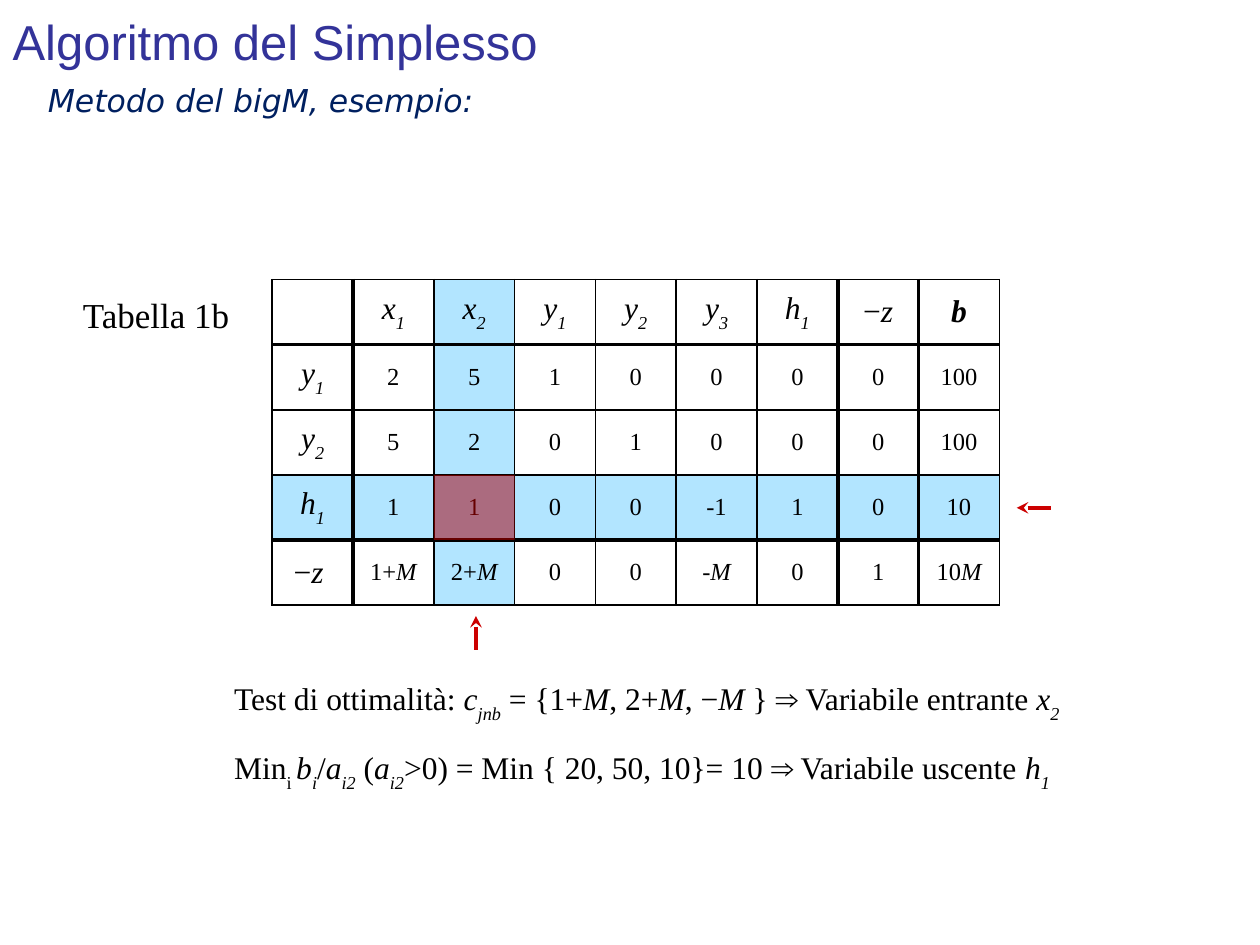
from dataclasses import dataclass

import pptx
import pptx.dml.color
import pptx.enum.shapes
import pptx.enum.text
import pptx.oxml.ns
import pptx.util
from lxml import etree

Pt = pptx.util.Pt
RGBColor = pptx.dml.color.RGBColor
Align = pptx.enum.text.PP_ALIGN
Anchor = pptx.enum.text.MSO_ANCHOR
AutoSize = pptx.enum.text.MSO_AUTO_SIZE
qn = pptx.oxml.ns.qn


@dataclass(frozen=True)
class Theme:
    ink: str = "000000"
    title: str = "333399"
    subtitle: str = "002060"
    highlight: str = "66CCFF"
    pivot: str = "CC0000"
    serif: str = "Times New Roman"
    sans: str = "Arial"
    subtitle_font: str = "DejaVu Sans"
    title_size: float = 28
    caption_size: float = 20
    body_size: float = 18
    value_size: float = 14
    thin: float = 1
    thick: float = 2.25


THEME = Theme()

# Tableau: ~ toggles italic, _ toggles subscript
TABLEAU = [
    ["", "~x_1_~", "~x_2_~", "~y_1_~", "~y_2_~", "~y_3_~", "~h_1_~", "−~z~", "~b~"],
    ["~y_1_~", "2", "5", "1", "0", "0", "0", "0", "100"],
    ["~y_2_~", "5", "2", "0", "1", "0", "0", "0", "100"],
    ["~h_1_~", "1", "1", "0", "0", "-1", "1", "0", "10"],
    ["−~z ~", "1+~M~", "2+~M~", "0", "0", "-~M~", "0", "1", "10~M~"],
]
ROWS, COLS = len(TABLEAU), len(TABLEAU[0])
LEFT, TOP, COL_W, ROW_H = 155.5, 159.8, 46.2, 37.2
THICK_BELOW_ROWS = {0, 3}
THICK_AFTER_COLS = {0, 6, 7}
ENTERING_COL, LEAVING_ROW = 2, 3


def write_text(frame, markup, *, size=THEME.body_size, font=THEME.serif,
               color=THEME.ink, bold=False, align=Align.LEFT):
    paragraph = frame.paragraphs[0]
    paragraph.alignment = align
    for i, chunk in enumerate(markup.split("~")):
        for j, part in enumerate(chunk.split("_")):
            if not part:
                continue
            run = paragraph.add_run()
            run.text = part
            run.font.size = Pt(size)
            run.font.name = font
            run.font.bold = bold
            run.font.italic = i % 2 == 1
            run.font.color.rgb = RGBColor.from_string(color)
            if j % 2 == 1:
                run.font._element.set("baseline", "-30000")


def add_text(slide, markup, left, top, width, height, **text_format):
    frame = slide.shapes.add_textbox(Pt(left), Pt(top), Pt(width), Pt(height)).text_frame
    frame.word_wrap = True
    frame.auto_size = AutoSize.SHAPE_TO_FIT_TEXT
    write_text(frame, markup, **text_format)


def add_title(slide, text):
    title = slide.shapes.title
    title.left, title.top, title.width, title.height = Pt(0), Pt(-2), Pt(648), Pt(51)
    title.text_frame.auto_size = AutoSize.NONE
    title.text_frame.vertical_anchor = Anchor.MIDDLE
    write_text(title.text_frame, text, size=THEME.title_size, font=THEME.sans,
               color=THEME.title)


def add_band(slide, row, col, row_count, col_count, color):
    """Half-transparent rectangle over a range of tableau cells."""
    band = slide.shapes.add_shape(
        pptx.enum.shapes.MSO_SHAPE.RECTANGLE,
        Pt(LEFT + col * COL_W), Pt(TOP + row * ROW_H),
        Pt(col_count * COL_W), Pt(row_count * ROW_H))
    band.shadow.inherit = False
    band.line.fill.background()
    band.fill.solid()
    band.fill.fore_color.rgb = RGBColor.from_string(color)
    tint = band.fill._xPr.find(".//" + qn("a:srgbClr"))
    etree.SubElement(tint, qn("a:alpha"), val="50000")


def set_border(cell, side, width):
    line = etree.SubElement(cell._tc.get_or_add_tcPr(), qn("a:ln" + side),
                            w=str(int(Pt(width))))
    fill = etree.SubElement(line, qn("a:solidFill"))
    etree.SubElement(fill, qn("a:srgbClr"), val=THEME.ink)


def add_tableau(slide):
    table = slide.shapes.add_table(ROWS, COLS, Pt(LEFT), Pt(TOP),
                                   Pt(COLS * COL_W), Pt(ROWS * ROW_H)).table
    table.first_row = table.horz_banding = False
    for column in table.columns:
        column.width = Pt(COL_W)
    for r, values in enumerate(TABLEAU):
        table.rows[r].height = Pt(ROW_H)
        for c, markup in enumerate(values):
            cell = table.cell(r, c)
            sides = {"L": c - 1 in THICK_AFTER_COLS, "R": c in THICK_AFTER_COLS,
                     "T": r - 1 in THICK_BELOW_ROWS, "B": r in THICK_BELOW_ROWS}
            for side, is_thick in sides.items():
                set_border(cell, side, THEME.thick if is_thick else THEME.thin)
            cell.fill.background()
            cell.vertical_anchor = Anchor.MIDDLE
            is_label = r == 0 or c == 0
            write_text(cell.text_frame, markup, align=Align.CENTER, bold=markup == "~b~",
                       size=THEME.body_size if is_label else THEME.value_size)


def add_arrow(slide, tip, end):
    arrow = slide.shapes.add_connector(pptx.enum.shapes.MSO_CONNECTOR.STRAIGHT,
                                       Pt(tip[0]), Pt(tip[1]), Pt(end[0]), Pt(end[1]))
    arrow.line.color.rgb = RGBColor.from_string(THEME.pivot)
    arrow.line.width = Pt(THEME.thick)
    etree.SubElement(arrow.line._get_or_add_ln(), qn("a:headEnd"), type="stealth")
    etree.SubElement(arrow._element.spPr, qn("a:effectLst"))


def main():
    prs = pptx.Presentation()
    prs.slide_width, prs.slide_height = Pt(720), Pt(540)
    slide = prs.slides.add_slide(prs.slide_layouts[5])

    # Headings
    add_title(slide, "Algoritmo del Simplesso")
    add_text(slide, "~Metodo del bigM, esempio:~", 20.2, 42.5, 613.4, 29,
             font=THEME.subtitle_font, color=THEME.subtitle)

    # Tableau with entering column, leaving row and pivot
    add_band(slide, 0, ENTERING_COL, ROWS, 1, THEME.highlight)
    add_band(slide, LEAVING_ROW, 0, 1, COLS, THEME.highlight)
    add_tableau(slide)
    add_band(slide, LEAVING_ROW, ENTERING_COL, 1, 1, THEME.pivot)
    add_text(slide, "Tabella 1b", 40.3, 164.2, 100, 31, size=THEME.caption_size)

    # Arrows at the entering column and the leaving row
    add_arrow(slide, (272, 352), (272, 371.5))
    add_arrow(slide, (581, 290.2), (600.5, 290.2))

    # Optimality and ratio tests
    tests = [
        "Test di ottimalità: ~c_jnb_~ = {1+~M~, 2+~M~, −~M ~} ⇒ Variabile entrante ~x_2_~",
        "Min_i _~b_i_~/~a_i2_~ (~a_i2_~>0) = Min { 20, 50, 10}= 10 ⇒ Variabile uscente ~h_1_~",
    ]
    for i, test in enumerate(tests):
        add_text(slide, test, 126.7, 384.5 + i * 39.6, 568.8, 29, align=Align.JUSTIFY)

    prs.save("out.pptx")


if __name__ == "__main__":
    main()
